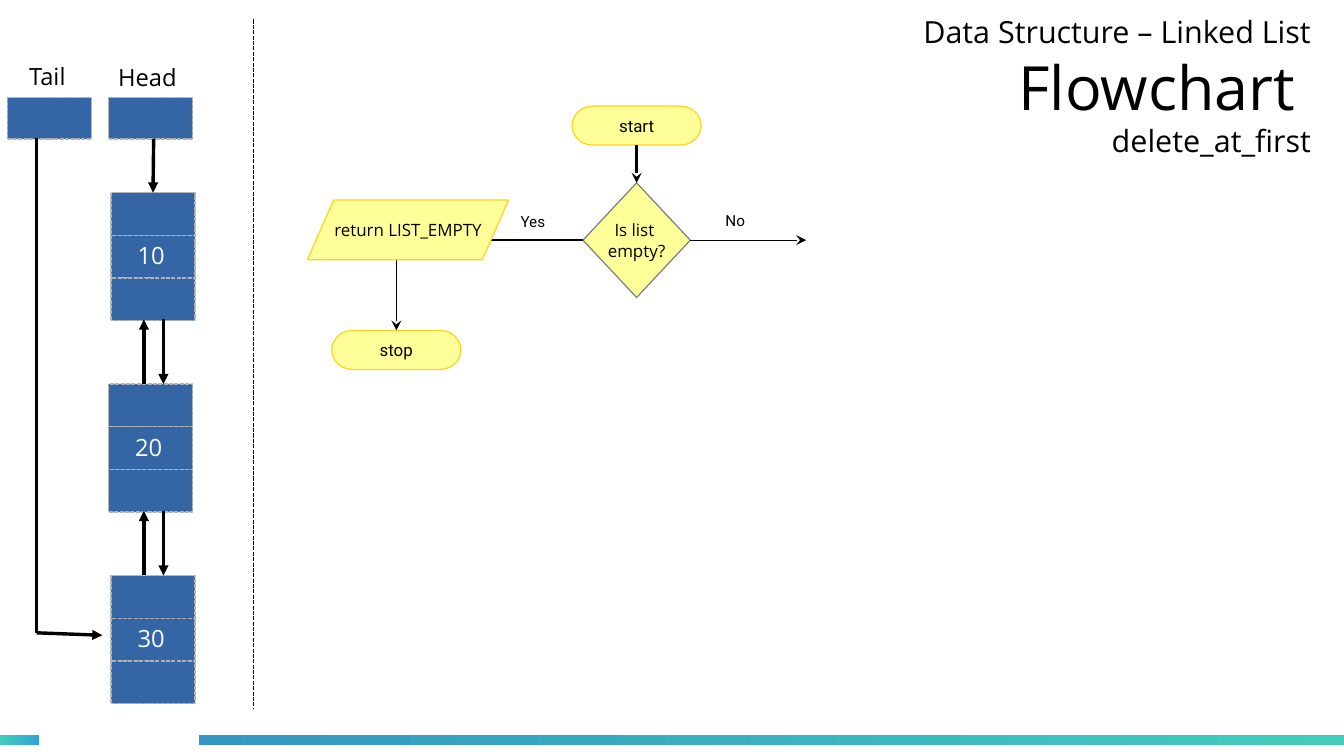
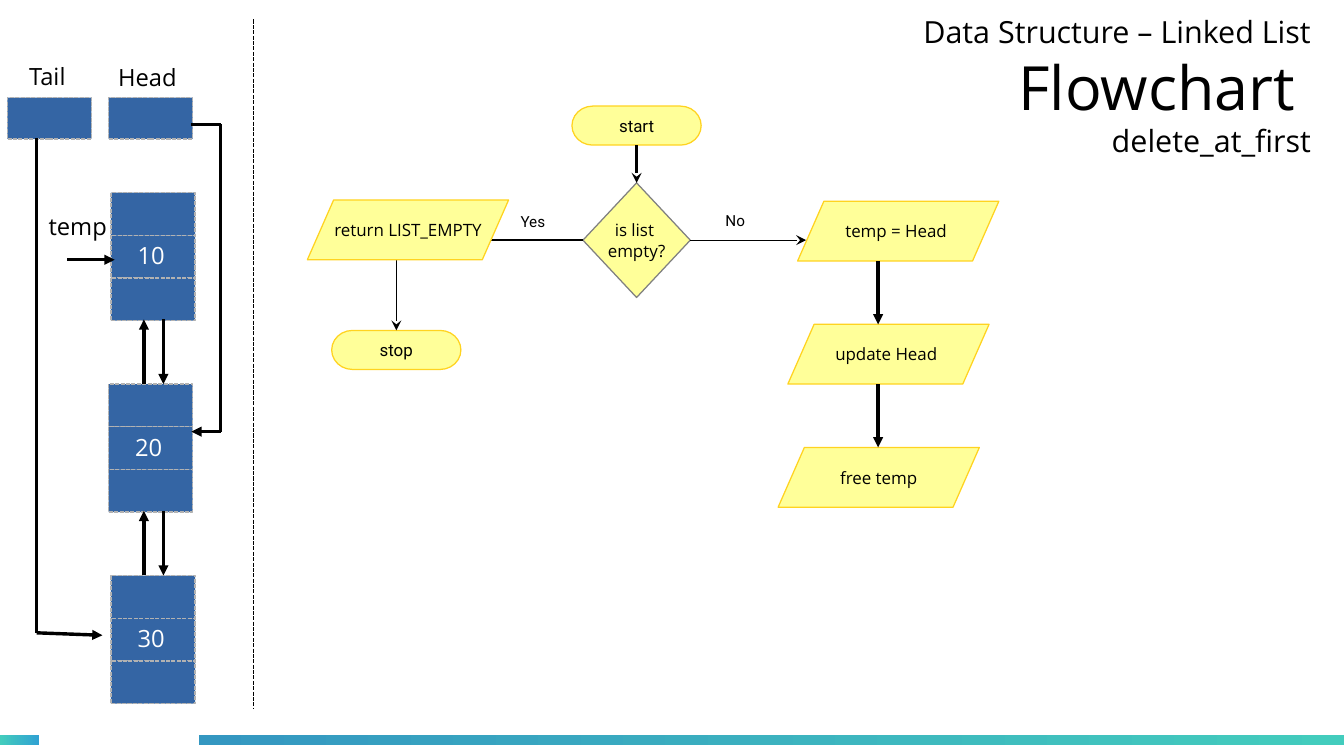
import copy

import pptx
import pptx.dml.color
import pptx.enum.dml
import pptx.enum.shapes
import pptx.enum.text
import pptx.oxml
import pptx.oxml.ns
import pptx.util

Inches = pptx.util.Inches
SHAPE = pptx.enum.shapes.MSO_SHAPE
ALIGN = pptx.enum.text.PP_ALIGN
ANCHOR = pptx.enum.text.MSO_ANCHOR
FIT = pptx.enum.text.MSO_AUTO_SIZE
DASH = pptx.enum.dml.MSO_LINE.SQUARE_DOT
TOP, LEFT, BOTTOM, RIGHT = range(4)


def rgb(hex_color):
    return pptx.dml.color.RGBColor.from_string(hex_color)


class Deck:
    BLACK, WHITE = "000000", "FFFFFF"
    BLUE, GREY = "3465A4", "B2B2B2"
    YELLOW, GOLD, DARK_GREY = "FFFF99", "FFD320", "808080"
    SANS, ROBOTO = "Open Sans", "Roboto"
    THIN = 0.79

    def __init__(self):
        self.prs = pptx.Presentation()
        self.prs.slide_width = Inches(11.02)
        self.prs.slide_height = Inches(6.2)
        self.layout = self.prs.slide_layouts[5]
        self.s = None

    def add_slide(self, title_lines):
        """Start a slide with its title; the first one also puts the bands on the layout."""
        first = self.s is None
        self.s = self.prs.slides.add_slide(self.layout)
        if first:
            self.band(0, 0.32, "43CCBD", "30A2D2")
            self.band(1.63, 9.39, "3497C1", "43CCBD")
        self.title(title_lines)

    def band(self, x, w, start, end):
        sp = self.box(SHAPE.RECTANGLE, x, 6.03, w, 0.08, self.WHITE)
        sp.fill.gradient()
        sp.fill.gradient_angle = 0
        for stop, color in zip(sp.fill.gradient_stops, (start, end)):
            stop.color.rgb = rgb(color)
        self.layout.shapes.element.append(sp.element)

    def title(self, lines):
        sp = self.s.shapes.title
        sp.left, sp.top = Inches(7.29), Inches(-0.02)
        sp.width, sp.height = Inches(3.46), Inches(1.45)
        tf = sp.text_frame
        tf.margin_left = tf.margin_right = tf.margin_top = tf.margin_bottom = 0
        tf.auto_size = FIT.NONE
        tf.vertical_anchor = ANCHOR.MIDDLE
        p = tf.paragraphs[0]
        p.text = "\v".join(text for text, _ in lines)
        p.alignment = ALIGN.RIGHT
        for r, (_, size) in zip(p.runs, lines):
            self.style(r, size, self.SANS, self.BLACK)
        for br in sp.element.iter(pptx.oxml.ns.qn("a:br")):
            br.insert(0, copy.deepcopy(br.getprevious()[0]))

    def style(self, r, size, font, color):
        r.font.size = pptx.util.Pt(size)
        r.font.name = font
        r.font.color.rgb = rgb(color)

    def set_text(self, tf, text, size, font, color, align):
        tf.text = text
        for p in tf.paragraphs:
            p.alignment = align
            for r in p.runs:
                self.style(r, size, font, color)

    def box(self, kind, x, y, w, h, fill, line=None, width=0):
        sp = self.s.shapes.add_shape(kind, Inches(x), Inches(y), Inches(w), Inches(h))
        sp.shadow.inherit = False
        sp.fill.solid()
        sp.fill.fore_color.rgb = rgb(fill)
        if line:
            sp.line.color.rgb = rgb(line)
            sp.line.width = pptx.util.Pt(width)
        else:
            sp.line.fill.background()
        return sp

    def flow_box(self, kind, x, y, w, h, text, font=SANS, line=GOLD):
        sp = self.box(kind, x, y, w, h, self.YELLOW, line)
        tf = sp.text_frame
        tf.word_wrap = False
        tf.vertical_anchor = ANCHOR.MIDDLE
        self.set_text(tf, text, 10, font, self.BLACK, ALIGN.CENTER)
        return sp

    def terminator(self, x, y, text):
        return self.flow_box(SHAPE.FLOWCHART_TERMINATOR, x, y, 1.06, 0.32, text, self.ROBOTO)

    def step(self, x, y, text):
        sp = self.flow_box(SHAPE.PARALLELOGRAM, x, y, 1.65, 0.49, text)
        sp.adjustments[0] = 0.44
        return sp

    def label(self, x, y, w, h, text, size=14, font=SANS, color=BLACK, wrap=False):
        sp = self.s.shapes.add_textbox(Inches(x), Inches(y), Inches(w), Inches(h))
        tf = sp.text_frame
        tf.word_wrap = wrap
        tf.auto_size = FIT.SHAPE_TO_FIT_TEXT
        self.set_text(tf, text, size, font, color, ALIGN.LEFT)

    def cell(self, x, y, h=0.35):
        sp = self.box(SHAPE.RECTANGLE, x, y, 0.69, h, self.BLUE, self.GREY, self.THIN)
        sp.line.dash_style = DASH
        return sp

    def node(self, x, y, value):
        """Draw a three-cell list node and return its top cell."""
        cells = [self.cell(x, y + i * 0.35) for i in range(3)]
        self.label(x + 0.12, y + 0.35, 0.44, 0.36, value, color=self.WHITE)
        return cells[0]

    def line(self, start, end, width=0, head=None, dash=None):
        cx = self.s.shapes.add_connector(
            pptx.enum.shapes.MSO_CONNECTOR.STRAIGHT, *map(Inches, start + end))
        cx.line.color.rgb = rgb(self.BLACK)
        cx.line.width = pptx.util.Pt(width)
        if dash:
            cx.line.dash_style = dash
        sp_pr = cx.element.spPr
        if head:
            tail = pptx.oxml.parse_xml(
                f'<a:tailEnd {pptx.oxml.ns.nsdecls("a")} type="{head}"/>')
            sp_pr.find(pptx.oxml.ns.qn("a:ln")).append(tail)
        sp_pr.append(pptx.oxml.parse_xml(f'<a:effectLst {pptx.oxml.ns.nsdecls("a")}/>'))
        return cx

    def pointer(self, *points):
        """Draw a line through the points, with an arrowhead on its last part."""
        for start, end in zip(points[:-2], points[1:-1]):
            self.line(start, end)
        return self.line(points[-2], points[-1], head="triangle")


def draw_list(deck):
    """Draw the linked list and return the top cell of its first node."""
    deck.line((2.08, 0.16), (2.08, 5.81), deck.THIN, dash=DASH)
    for x in (0.06, 0.89):
        deck.cell(x, 0.8, 0.34)
    deck.label(0.14, 0.46, 0.64, 0.36, "Tail")
    deck.label(0.87, 0.47, 0.74, 0.36, "Head")
    pitch = 1.57
    tops = [deck.node(x, 1.58 + i * pitch, value)
            for i, (x, value) in enumerate(((0.91, "10"), (0.89, "20"), (0.91, "30")))]
    for i in range(2):
        upper, lower = 2.62 + i * pitch, 3.15 + i * pitch
        deck.pointer((1.34, upper), (1.34, lower))
        deck.pointer((1.18, lower), (1.18, upper))
    deck.pointer((0.3, 1.13), (0.3, 5.19), (0.84, 5.21))
    return tops[0]


def draw_empty_check(deck, question):
    start = deck.terminator(4.69, 0.87, "start")
    check = deck.flow_box(SHAPE.DIAMOND, 4.78, 1.5, 0.88, 0.94, question, line=deck.DARK_GREY)
    stop = deck.terminator(2.72, 2.71, "stop")
    cx = deck.line((5.22, 1.19), (5.22, 1.5), head="stealth")
    cx.begin_connect(start, BOTTOM)
    cx.end_connect(check, TOP)
    cx = deck.line((5.66, 1.97), (6.61, 1.97), deck.THIN, "stealth")
    cx.begin_connect(check, RIGHT)
    cx = deck.line((4.78, 1.97), (3.25, 1.97), 0.85)
    cx.begin_connect(check, LEFT)
    cx = deck.line((3.25, 1.97), (3.25, 2.71), deck.THIN, "stealth")
    cx.end_connect(stop, TOP)
    deck.step(2.52, 1.64, "return LIST_EMPTY")
    for x, y, w, h, text in ((4.17, 1.69, 0.61, 0.32, "Yes"), (5.85, 1.68, 0.43, 0.39, "No")):
        deck.label(x, y, w, h, text, 9, deck.ROBOTO, wrap=True)


def draw_delete_steps(deck):
    for i, text in enumerate(("temp = Head ", "update Head ", "free temp")):
        y = 1.65 + i * 1.01
        deck.step(6.54 - i * 0.08, y, text)
        if i:
            deck.pointer((7.2, y - 0.52), (7.2, y))


def main():
    deck = Deck()
    title = (("Data Structure – Linked List", 18), ("Flowchart ", 36), ("delete_at_first", 18))

    deck.add_slide(title)
    draw_empty_check(deck, "Is list \nempty?")
    first_node = draw_list(deck)
    deck.pointer((1.26, 1.14), (1.26, 1.58)).end_connect(first_node, TOP)

    deck.add_slide(title)
    draw_empty_check(deck, "is list \nempty?")
    draw_list(deck)
    deck.label(0.3, 1.69, 0.74, 0.36, "temp")
    deck.pointer((0.55, 2.13), (0.94, 2.13))
    deck.pointer((1.57, 1.02), (1.81, 1.02), (1.81, 3.54), (1.57, 3.54))
    draw_delete_steps(deck)

    deck.prs.save("out.pptx")


if __name__ == "__main__":
    main()
